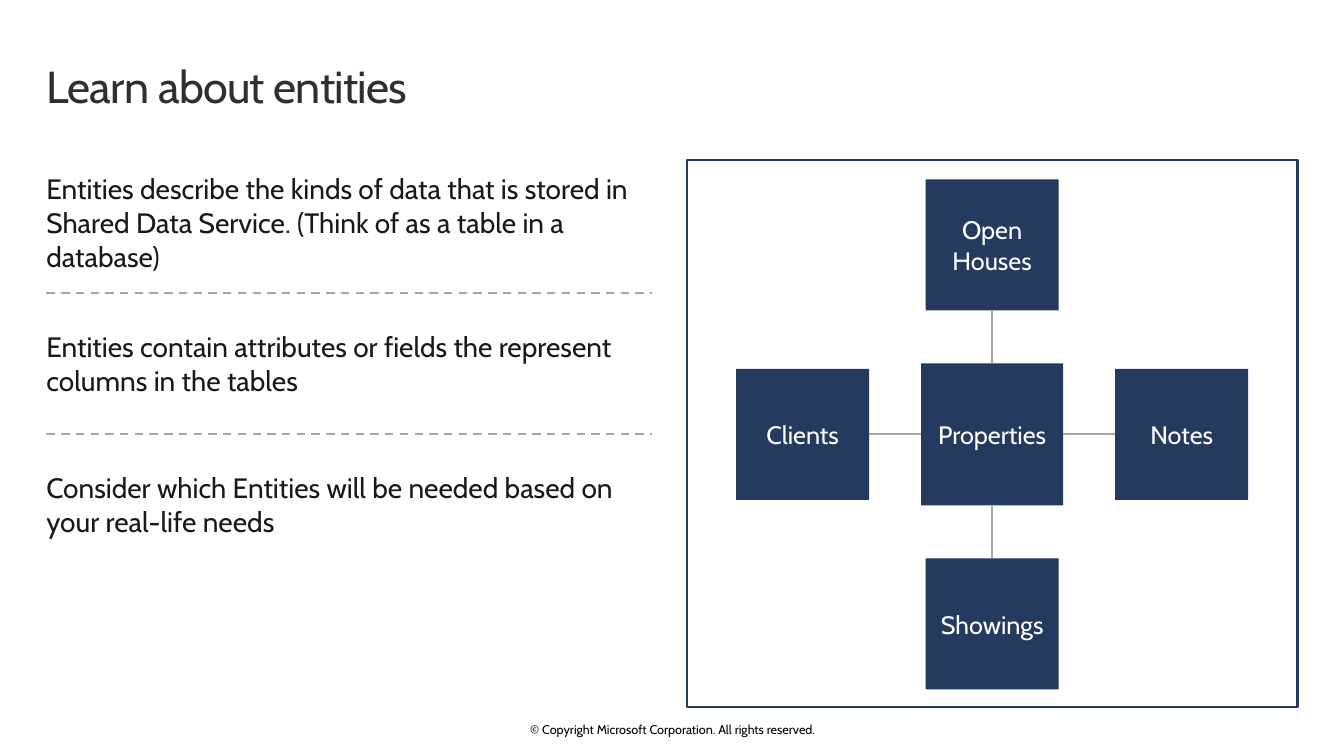
from pptx import Presentation
from pptx.dml.color import RGBColor
from pptx.enum.dml import MSO_LINE
from pptx.enum.shapes import MSO_CONNECTOR as CONN, MSO_SHAPE as SHAPE
from pptx.enum.text import MSO_ANCHOR as ANCHOR, PP_ALIGN as ALIGN
from pptx.oxml.ns import qn
from pptx.util import Inches, Pt
from lxml import etree


def rgb(value):
    return RGBColor.from_string(value)


def write(sp, text, size, color, font, align=ALIGN.LEFT, anchor=ANCHOR.MIDDLE,
          insets=(0, 0, 0, 0), spacing=None):
    tf = sp.text_frame
    tf.word_wrap = True
    tf.vertical_anchor = anchor
    tf.margin_left, tf.margin_top, tf.margin_right, tf.margin_bottom = map(Inches, insets)
    p = tf.paragraphs[0]
    p.alignment = align
    r = p.add_run()
    r.text = text
    r.font.name = font
    r.font.size = Pt(size)
    r.font.color.rgb = rgb(color)
    if spacing is not None:
        r._r.get_or_add_rPr().set("spc", str(int(spacing * 100)))


class EntitySlide:
    FONT = "Cabin"
    NAVY = "243A5E"
    GRAY = "A6A6A6"

    def __init__(self, prs):
        self.shapes = prs.slides.add_slide(prs.slide_layouts[6]).shapes

    def text(self, text, x, y, w, h, size, color, **fmt):
        sp = self.shapes.add_textbox(Inches(x), Inches(y), Inches(w), Inches(h))
        write(sp, text, size, color, self.FONT, **fmt)

    def rect(self, x, y, w, h, fill=None, line=None):
        sp = self.shapes.add_shape(SHAPE.RECTANGLE, Inches(x), Inches(y), Inches(w), Inches(h))
        sp.shadow.inherit = False
        if fill:
            sp.fill.solid()
            sp.fill.fore_color.rgb = rgb(fill)
        else:
            sp.fill.background()
        if line:
            sp.line.color.rgb = rgb(line)
            sp.line.width = Pt(1.5)
        else:
            sp.line.fill.background()
        return sp

    def entity(self, name, cx, cy, w, h):
        sp = self.rect(cx - w / 2, cy - h / 2, w, h, fill=self.NAVY)
        write(sp, name, 18, "FFFFFF", self.FONT, align=ALIGN.CENTER, insets=(0.12,) * 4)
        return sp

    def line(self, x1=0, y1=0, x2=0, y2=0, dash=None):
        c = self.shapes.add_connector(CONN.STRAIGHT, Inches(x1), Inches(y1), Inches(x2), Inches(y2))
        c.line.color.rgb = rgb(self.GRAY)
        c.line.width = Pt(1.5)
        if dash:
            c.line.dash_style = dash
        etree.SubElement(c._element.spPr, qn("a:effectLst"))
        return c

    def join(self, start, start_side, end, end_side):
        c = self.line()
        c.begin_connect(start, start_side)
        c.end_connect(end, end_side)


def main():
    prs = Presentation()
    prs.slide_width, prs.slide_height = Inches(13.33), Inches(7.5)
    s = EntitySlide(prs)

    # Title and footer
    s.text("Learn about entities", 0.46, 0.48, 12.42, 0.8, 32, "2F2F2F",
           anchor=ANCHOR.TOP, insets=(0, 0.1, 0.16, 0.1), spacing=-0.5)
    s.text("© Copyright Microsoft Corporation. All rights reserved.",
           4.42, 7.16, 4.5, 0.15, 9, "000000", align=ALIGN.CENTER)

    # Statements with dashed dividers between them
    left, top, step = 0.46, 1.59, 1.4
    statements = [
        "Entities describe the kinds of data that is stored in Shared Data Service. "
        "(Think of as a table in a database)",
        "Entities contain attributes or fields the represent columns in the tables",
        "Consider which Entities will be needed based on your real-life needs",
    ]
    for i, statement in enumerate(statements):
        y = top + i * step
        s.text(statement, left, y, 6.1, 1.23, 20, "191919", insets=(0, 0.05, 0, 0.05))
        if i:
            s.line(left, y - 0.08, 6.47, y - 0.08, dash=MSO_LINE.DASH)

    # Entity diagram: a hub with four neighbours at equal distance
    s.rect(6.81, top, 6.06, 5.42, line=s.NAVY)
    cx, cy, reach = 9.84, 4.31, 1.88
    hub = s.entity("Properties", cx, cy, 1.41, 1.41)
    neighbours = [  # name, direction, side of the hub
        ("Open Houses", 0, -1, 0),
        ("Clients", -1, 0, 1),
        ("Showings", 0, 1, 2),
        ("Notes", 1, 0, 3),
    ]
    for name, dx, dy, side in neighbours:
        box = s.entity(name, cx + dx * reach, cy + dy * reach, 1.32, 1.3)
        s.join(hub, side, box, (side + 2) % 4)

    prs.save("out.pptx")


if __name__ == "__main__":
    main()
